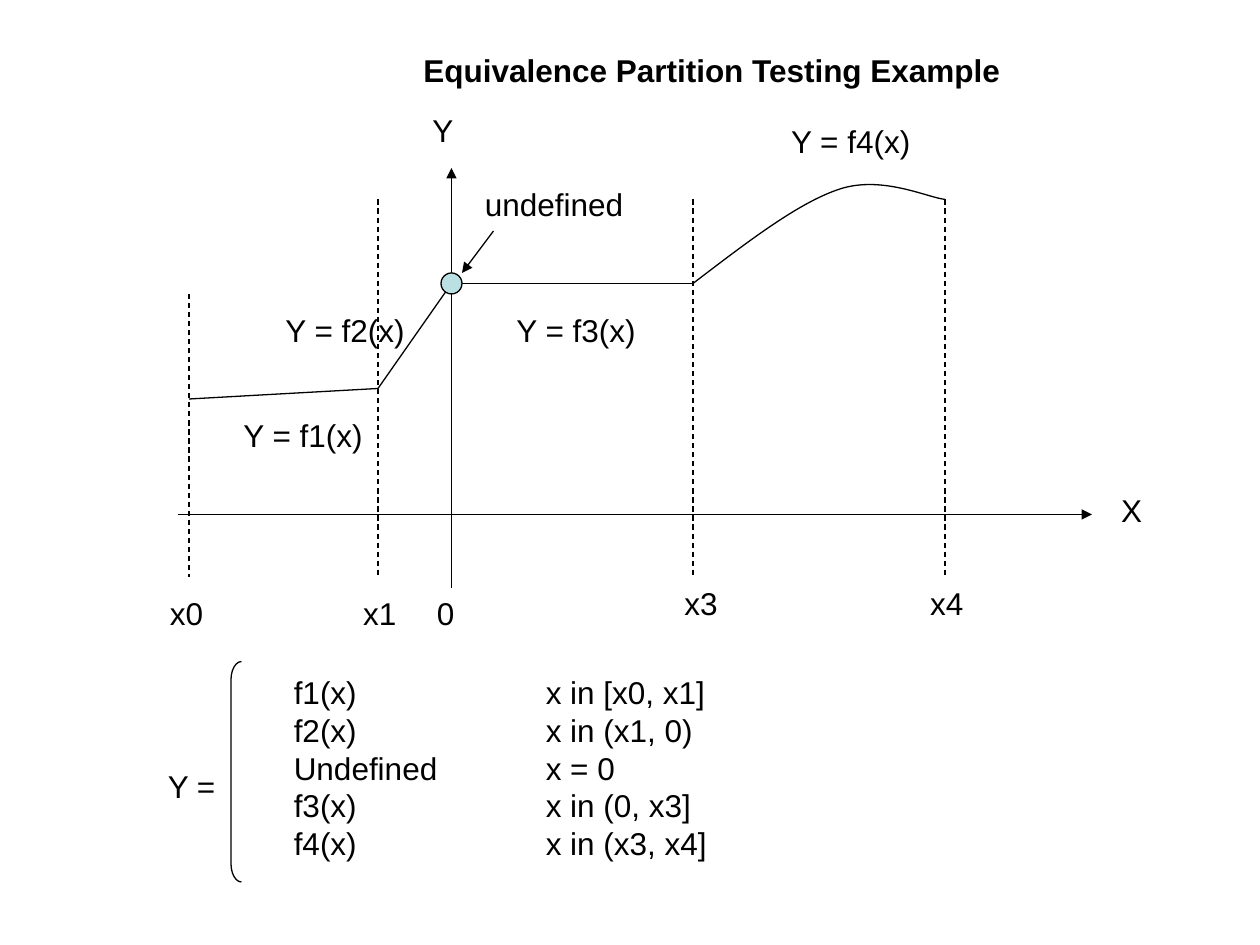
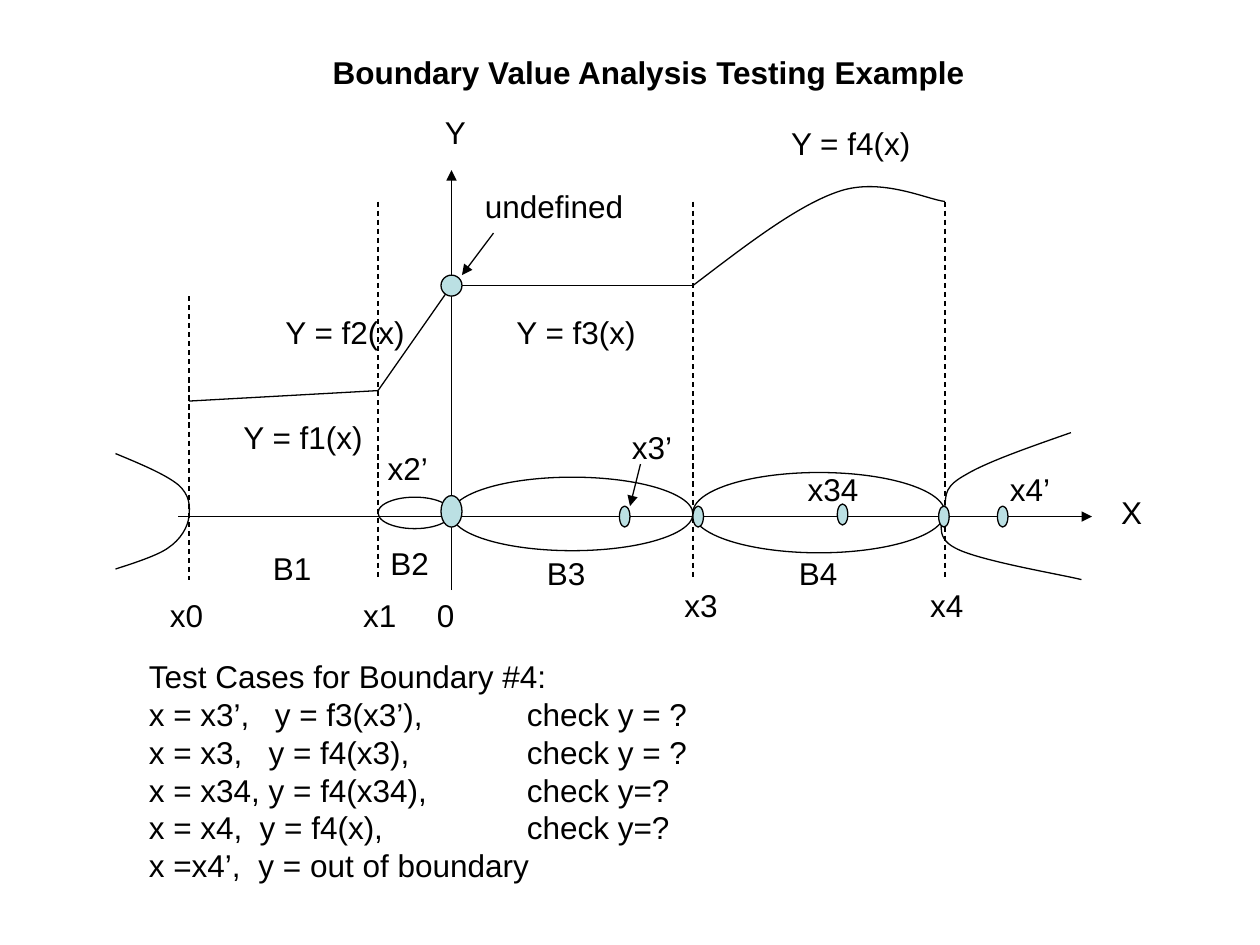
import dataclasses

import pptx
import pptx.dml.color
import pptx.enum.dml
import pptx.enum.shapes
import pptx.enum.text
import pptx.oxml
import pptx.oxml.ns
import pptx.util

SHAPES = pptx.enum.shapes.MSO_SHAPE
BLACK = pptx.dml.color.RGBColor(0x00, 0x00, 0x00)
PALE_TEAL = pptx.dml.color.RGBColor(0xBB, 0xE0, 0xE3)
FONT = "Arial"
CELL = pptx.util.Inches(1) // 12  # the slide is a grid of 120 by 90 cells
LABEL_HEIGHT = 4.8

# Columns and rows within the plot box
X0, X1, ORIGIN, X3, X4 = 0, 18, 25, 48, 72
AXIS_ROW, PLATEAU_ROW, DASH_END_ROW = 39, 17, 45


@dataclasses.dataclass
class Box:
    """A region of a slide, placed by the column and row of its corner."""
    slide: object
    column: float
    row: float

    def point(self, column, row):
        return round((self.column + column) * CELL), round((self.row + row) * CELL)


def size(*cells):
    return [round(cell * CELL) for cell in cells]


def add_element(parent, tag, **attributes):
    element = pptx.oxml.parse_xml(f"<{tag} {pptx.oxml.ns.nsdecls('a')}/>")
    for name, value in attributes.items():
        element.set(name, str(value))
    parent.append(element)
    return element


def style_line(line):
    line.color.rgb = BLACK
    line.width = pptx.util.Pt(0.74)


def add_text(box, text, column, row, width, height=LABEL_HEIGHT, *,
             bold=False, wrap=False, tab_stops=()):
    """Add a text box; tab_stops holds one list of stops, in inches, for each line."""
    shape = box.slide.shapes.add_textbox(*box.point(column, row), *size(width, height))
    frame = shape.text_frame
    frame.word_wrap = wrap
    frame.auto_size = pptx.enum.text.MSO_AUTO_SIZE.SHAPE_TO_FIT_TEXT
    for index, line in enumerate(text.split("\n")):
        paragraph = frame.paragraphs[0] if index == 0 else frame.add_paragraph()
        if tab_stops and tab_stops[index]:
            tab_list = add_element(paragraph._p.get_or_add_pPr(), "a:tabLst")
            for stop in tab_stops[index]:
                add_element(tab_list, "a:tab", pos=pptx.util.Inches(stop), algn="l")
        run = paragraph.add_run()
        run.text = line
        run.font.name = FONT
        run.font.size = pptx.util.Pt(18)
        run.font.bold = bold
        run.font.color.rgb = BLACK


def add_line(box, start, end, *, arrow=False, dashed=False):
    connector = box.slide.shapes.add_connector(
        pptx.enum.shapes.MSO_CONNECTOR.STRAIGHT, *box.point(*start), *box.point(*end))
    style_line(connector.line)
    if dashed:
        connector.line.dash_style = pptx.enum.dml.MSO_LINE.DASH
    if arrow:
        add_element(connector.line._get_or_add_ln(), "a:tailEnd", type="triangle")
    add_element(connector._element.spPr, "a:effectLst")


def add_outline(box, preset, column, row, width, height, *, fill=None):
    shape = box.slide.shapes.add_shape(
        preset, *box.point(column, row), *size(width, height))
    shape.shadow.inherit = False
    style_line(shape.line)
    if fill is None:
        shape.fill.background()
    else:
        shape.fill.solid()
        shape.fill.fore_color.rgb = fill
    return shape


def add_curve(box, *points):
    """Draw cubic curves end to end: a start, then two handles and an end for each."""
    start, *others = [box.point(*point) for point in points]
    builder = box.slide.shapes.build_freeform(*start)
    builder.add_line_segments(others, close=False)
    shape = builder.convert_to_shape()
    outline = shape._element.xpath(".//a:path")[0]
    segments = outline.xpath("a:lnTo")
    for first in range(0, len(segments), 3):
        curve = add_element(outline, "a:cubicBezTo")
        for segment in segments[first:first + 3]:
            curve.append(segment[0])
            outline.remove(segment)
    shape.shadow.inherit = False
    shape.fill.background()
    style_line(shape.line)


def add_plot(box, y_label_column):
    """Draw the axes, the partition borders and the four pieces of the function."""
    add_line(box, (X0 - 1, AXIS_ROW), (86, AXIS_ROW), arrow=True)
    add_line(box, (ORIGIN, 46), (ORIGIN, 6), arrow=True)
    for column, top in ((X0, 18), (X1, 9), (X3, 9), (X4, 9)):
        add_line(box, (column, top), (column, DASH_END_ROW), dashed=True)

    add_line(box, (X0, 28), (X1, 27))
    add_line(box, (X1, 27), (ORIGIN, PLATEAU_ROW))
    add_line(box, (ORIGIN + 1, PLATEAU_ROW), (X3, PLATEAU_ROW))
    add_curve(box, (X3, PLATEAU_ROW), (53, 13.2), (58, 9.3), (62, 8),
              (66, 6.7), (70.3, 8.8), (X4, 9))
    add_outline(box, SHAPES.OVAL, ORIGIN - 1, PLATEAU_ROW - 1, 2, 2, fill=PALE_TEAL)
    add_line(box, (29, 12), (26, 16), arrow=True)

    pieces = (4, 29), (8, 19), (30, 19), (56.16, 1)
    for number, (column, row) in enumerate(pieces, 1):
        add_text(box, f"Y = f{number}(x)", column, row, 13.8)
    ticks = ("x0", -3, 46), ("x1", 15.4, 46), ("x3", 46, 45), ("x4", 69.4, 45)
    for text, column, row in ticks:
        add_text(box, text, column, row, 5.8)
    add_text(box, "0", 22.44, 46, 4.1)
    add_text(box, "Y", y_label_column, 0, 4.3)
    add_text(box, "X", 87.6, 36.15, 4.3)
    add_text(box, "undefined", 27, 7, 15.6)


def add_boundaries(box):
    """Draw the partitions along the X axis with their boundary values."""
    for left, right, row, height in ((ORIGIN, X3, 35.25, 7), (X3, X4, 34.8, 7.65),
                                     (X1, ORIGIN, 37.15, 3)):
        add_outline(box, SHAPES.OVAL, left, row, right - left, height)
    add_curve(box, (-7, 33), (-4.6, 34), (-2.2, 35), (-1, 36),
              (0.1, 37), (0.1, 38), (X0, AXIS_ROW),
              (-0.1, 40), (-0.8, 41.2), (-2, 42),
              (-3.1, 42.8), (-6.1, 43.7), (-7, 44))
    add_curve(box, (84, 31), (80, 32.4), (76, 33.8), (74, 35),
              (72, 36.1), (72.1, 36.8), (X4, 38),
              (71.9, 39.1), (70.8, 40.9), (73, 42),
              (75.2, 43.2), (83, 44.5), (85, 45))
    add_outline(box, SHAPES.OVAL, ORIGIN - 1, 37, 2, 3, fill=PALE_TEAL)
    for column, row in ((41, 38), (X3, 38), (61.75, 37.8), (71.4, 38), (77, 38)):
        add_outline(box, SHAPES.OVAL, column, row, 1, 2, fill=PALE_TEAL)
    add_line(box, (43, 34), (42, 38), arrow=True)

    for text, column, row, width in (
            ("B1", 6.8, 41.5, 6.4), ("B2", 18, 41, 6.4),
            ("B3", 32.9, 42, 6.4), ("B4", 56.9, 42, 6.4),
            ("x2’", 17.75, 32, 6.2), ("x3’", 41, 30, 6.2),
            ("x34", 57.75, 34, 7.2), ("x4’", 77, 34, 6.2)):
        add_text(box, text, column, row, width)


def add_definition(box):
    """Write the function as a bracketed list of pieces and their ranges."""
    pieces = (("f1(x)", "x in [x0, x1]"), ("f2(x)", "x in (x1, 0)"),
              ("Undefined", "x = 0"), ("f3(x)", "x in (0, x3]"),
              ("f4(x)", "x in (x3, x4]"))
    add_text(box, "Y =", -0.2, 9.5, 7.8)
    bracket = add_outline(box, SHAPES.LEFT_BRACKET, 7, 0, 1, 21)
    bracket.adjustments[0] = 1.75
    add_text(box, "\n".join("\t".join(piece) for piece in pieces), 11.8, 0.5, 41.8, 19.2,
             tab_stops=[[2]] * len(pieces))


def add_test_cases(box):
    cases = (("Test Cases for Boundary #4:", []),
             ("x = x3’,\ty = f3(x3’),\tcheck y = ?", [1, 3]),
             ("x = x3,\ty = f4(x3),\tcheck y = ?", [0.95, 3]),
             ("x = x34, y = f4(x34),\tcheck y=?", [3]),
             ("x = x4,\ty = f4(x),\tcheck y=?", [0.88, 3]),
             ("x =x4’,\ty = out of boundary", [0.87]))
    lines, tab_stops = zip(*cases)
    add_text(box, "\n".join(lines), 0, 0, 84, 22.8, wrap=True, tab_stops=tab_stops)


def add_title(box, text, width):
    add_text(box, text, 0, 0, width, bold=True)


def build_partition_slide(slide):
    add_title(Box(slide, 39.15, 4.3), "Equivalence Partition Testing Example", 57.6)
    add_plot(Box(slide, 18, 10), y_label_column=22)
    add_definition(Box(slide, 15, 63))


def build_boundary_slide(slide):
    add_title(Box(slide, 30.5, 4.5), "Boundary Value Analysis Testing Example", 63)
    plot_box = Box(slide, 18, 10.2)
    add_plot(plot_box, y_label_column=23.2)
    add_boundaries(plot_box)
    add_test_cases(Box(slide, 13, 62))


def main():
    presentation = pptx.Presentation()
    presentation.slide_width = 120 * CELL
    presentation.slide_height = 90 * CELL
    blank_layout = presentation.slide_layouts[6]
    for build in (build_partition_slide, build_boundary_slide):
        build(presentation.slides.add_slide(blank_layout))
    presentation.save("out.pptx")


if __name__ == "__main__":
    main()
